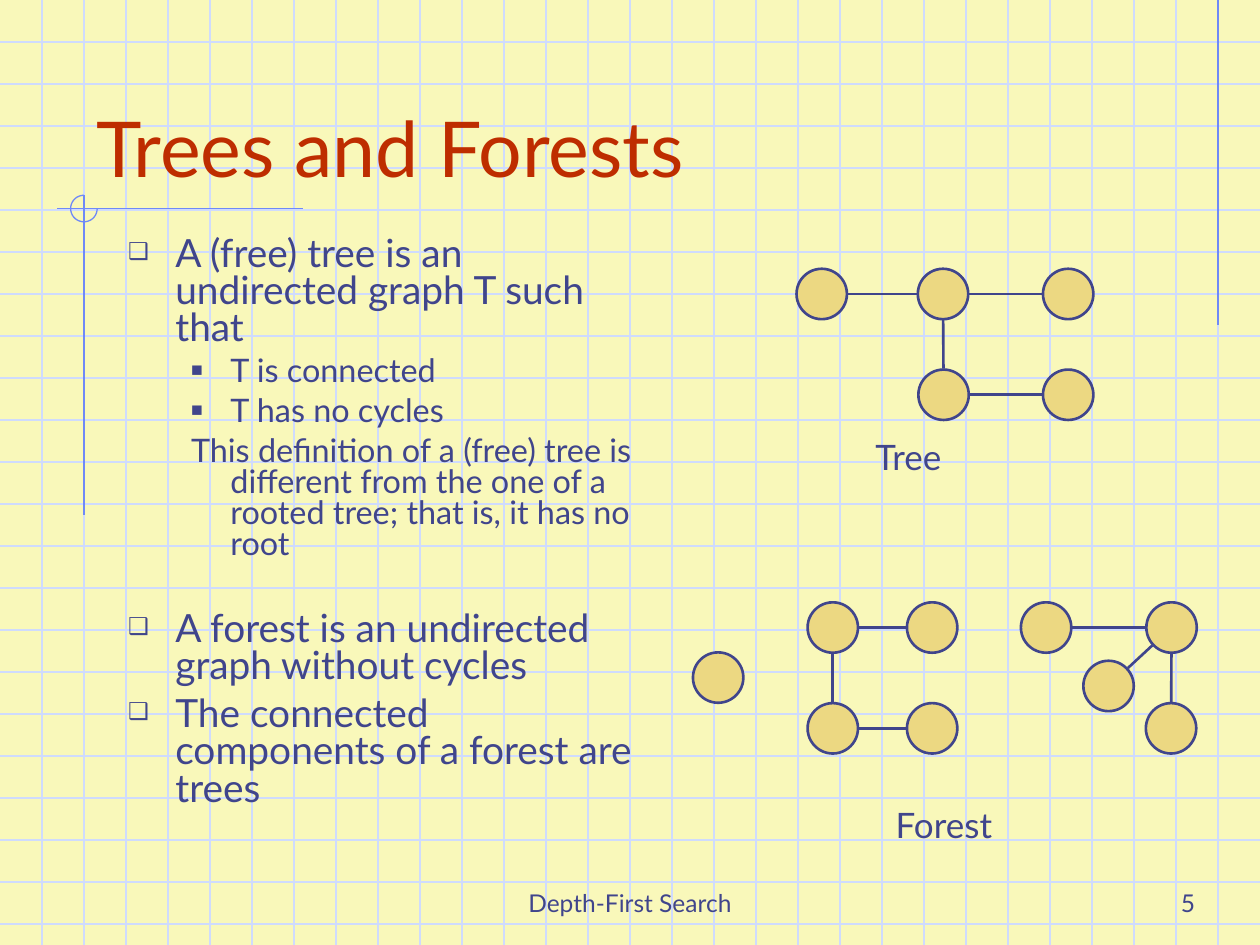
from dataclasses import dataclass
from math import cos, sin, radians, hypot
from lxml.etree import SubElement as Sub
from pptx import Presentation
from pptx.dml.color import RGBColor as RGB
from pptx.enum.shapes import MSO_CONNECTOR as Link, MSO_SHAPE as Shape
from pptx.enum.text import MSO_ANCHOR as Anchor, MSO_AUTO_SIZE as Fit, PP_ALIGN as Align
from pptx.oxml.ns import qn
from pptx.util import Pt


@dataclass(frozen=True)
class Theme:
    font: str = "Lato"
    paper: str = "F9F8BA"
    grid: str = "CFDBFD"
    trim: str = "6F89F7"
    ink: str = "40458C"
    head: str = "BE2D00"
    node: str = "ECD882"
    title: float = 44
    item: float = 22.2
    sub: float = 18.5
    label: float = 20
    foot: float = 14
    thin: float = 0.75
    bold: float = 1.5


class Page:
    def __init__(self, slide, theme):
        self.slide = slide
        self.shapes = slide.shapes
        self.theme = theme
        fill = slide.background.fill
        fill.solid()
        fill.fore_color.rgb = RGB.from_string(theme.paper)

    def pen(self, shape, color, width):
        shape.line.color.rgb = RGB.from_string(color)
        shape.line.width = Pt(width)

    def line(self, start, end, color, width):
        link = self.shapes.add_connector(Link.STRAIGHT, *map(Pt, start + end))
        self.pen(link, color, width)
        Sub(link.element.spPr, qn("a:effectLst"))

    def arc(self, x, y, radius):
        spots = [(Pt(x + radius * cos(radians(a))), Pt(y + radius * sin(radians(a))))
                 for a in range(0, 271, 10)]
        path = self.shapes.build_freeform(*spots[0], scale=1.0)
        path.add_line_segments(spots[1:], close=False)
        shape = path.convert_to_shape()
        shape.fill.background()
        shape.shadow.inherit = False
        self.pen(shape, self.theme.trim, self.theme.thin)

    def node(self, x, y, radius):
        dot = self.shapes.add_shape(Shape.OVAL, Pt(x - radius), Pt(y - radius),
                                    Pt(2 * radius), Pt(2 * radius))
        dot.fill.solid()
        dot.fill.fore_color.rgb = RGB.from_string(self.theme.node)
        dot.shadow.inherit = False
        self.pen(dot, self.theme.ink, self.theme.bold)

    def graph(self, nodes, edges, radius=14.4, gap=0.6):
        for x, y in nodes.values():
            self.node(x, y, radius)
        for a, b in edges:
            (x1, y1), (x2, y2) = nodes[a], nodes[b]
            part = (radius + gap) / hypot(x2 - x1, y2 - y1)
            dx, dy = (x2 - x1) * part, (y2 - y1) * part
            self.line((x1 + dx, y1 + dy), (x2 - dx, y2 - dy),
                      self.theme.ink, self.theme.bold)

    def run(self, para, text, size, color):
        run = para.add_run()
        run.text = text
        run.font.name = self.theme.font
        run.font.size = Pt(size)
        run.font.color.rgb = RGB.from_string(color)

    def text(self, box, text, size, align=Align.LEFT, anchor=Anchor.TOP):
        shape = self.shapes.add_textbox(*map(Pt, box))
        frame = shape.text_frame
        frame.word_wrap = True
        frame.vertical_anchor = anchor
        para = frame.paragraphs[0]
        para.alignment = align
        self.run(para, text, size, self.theme.ink)

    def place(self, shape, box):
        shape.left, shape.top, shape.width, shape.height = map(Pt, box)
        shape.element.getparent().append(shape.element)
        shape.text_frame.auto_size = Fit.NONE
        return shape.text_frame

    def title(self, box, text):
        frame = self.place(self.shapes.title, box)
        frame.vertical_anchor = Anchor.BOTTOM
        para = frame.paragraphs[0]
        para.alignment = Align.LEFT
        self.run(para, text, self.theme.title, self.theme.head)

    def bullet(self, para, mark, left, hang):
        props = para._p.get_or_add_pPr()
        props.set("marL", str(Pt(left)))
        props.set("indent", str(-Pt(hang)))
        if not mark:
            Sub(props, qn("a:buNone"))
            return
        Sub(Sub(props, qn("a:buClr")), qn("a:srgbClr"), val=self.theme.ink)
        Sub(props, qn("a:buSzPct"), val="60000")
        Sub(props, qn("a:buChar"), char=mark)

    def items(self, box, rows):
        frame = self.place(self.slide.placeholders[1], box)
        frame.vertical_anchor = Anchor.TOP
        forms = [(self.theme.item, 27, 27), (self.theme.sub, 58.5, 22.5)]
        for i, (level, mark, space, text) in enumerate(rows):
            para = frame.add_paragraph() if i else frame.paragraphs[0]
            size, left, hang = forms[level]
            para.level = level
            para.line_spacing = 0.8
            para.space_before = Pt(space)
            self.bullet(para, mark, left, hang)
            self.run(para, text, size, self.theme.ink)


def main():
    wide, high, step = 720, 540, 24
    deck = Presentation()
    deck.slide_width, deck.slide_height = Pt(wide), Pt(high)
    theme = Theme()
    page = Page(deck.slides.add_slide(deck.slide_layouts[1]), theme)

    for y in range(step, high, step):
        page.line((0, y), (wide, y), theme.grid, theme.thin)
    for x in range(step, wide, step):
        page.line((x, 0), (x, high), theme.grid, theme.thin)
    for start, end in [((696, 0), (696, 186)), ((173, 119.2), (32.5, 119.2)),
                       ((48, 111.5), (48, 294.5))]:
        page.line(start, end, theme.trim, theme.thin)
    page.arc(48, 119.2, 7.6)

    page.text((246, 492, 228, 36), "Depth-First Search", theme.foot,
              Align.CENTER, Anchor.BOTTOM)
    page.text((540, 492, 150, 36), "5", theme.foot, Align.RIGHT, Anchor.BOTTOM)
    page.title((48, 24, 612, 90), "Trees and Forests")
    page.items((66, 132, 306, 378), [
        (0, "❑", 6, "A (free) tree is an undirected graph T such that"),
        (1, "■", 5, "T is connected"),
        (1, "■", 5, "T has no cycles"),
        (1, "", 5, "This definition of a (free) tree is different from the one "
                   "of a rooted tree; that is, it has no root"),
        (0, "❑", 28.8, "A forest is an undirected graph without cycles"),
        (0, "❑", 6, "The connected components of a forest are trees"),
    ])
    page.text((493.2, 245.5, 76.3, 31.7), "Tree", theme.label)
    page.text((504.7, 455.8, 82.8, 31.7), "Forest", theme.label)

    top, low = 168, 225.6
    page.graph({"a": (469.6, top), "b": (538.9, top), "c": (610.4, top),
                "d": (539.2, low), "e": (610.4, low)},
               ["ab", "bc", "bd", "de"])
    top, low = 358.6, 416.2
    page.graph({"a": (410.4, 387.2), "b": (475.9, top), "c": (532.7, top),
                "d": (475.9, low), "e": (532.7, low), "f": (597.8, top),
                "g": (669.5, top), "h": (669.2, low), "i": (633.5, 392)},
               ["bc", "bd", "de", "fg", "gh", "ig"])
    deck.save("out.pptx")


if __name__ == "__main__":
    main()
